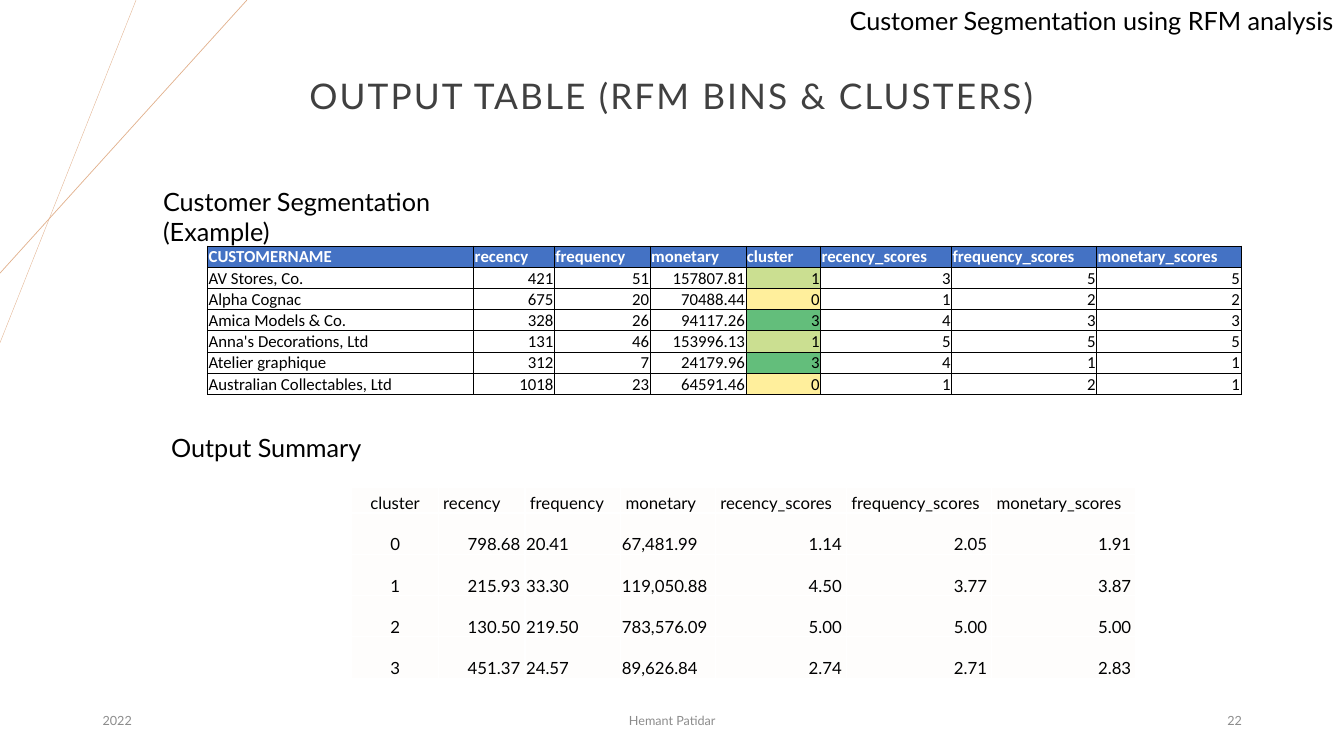
from pptx import Presentation
from pptx.dml.color import RGBColor as RGB
from pptx.enum.shapes import MSO_CONNECTOR as Conn
from pptx.enum.text import MSO_ANCHOR as Anchor, PP_ALIGN as Align
from pptx.oxml.ns import qn
from pptx.util import Pt
from lxml.etree import SubElement as Sub

HUES = {
    "black": "000000", "white": "FFFFFF", "title": "404040", "foot": "8C8C8C",
    "line": "E2B18D", "head": "4472C4", "pale": "FEFDFC",
    "low": "FFEF9C", "mid": "CBDF91", "high": "63BE7B",
}
LEFT, MID, RIGHT = Align.LEFT, Align.CENTER, Align.RIGHT


class Page:
    def __init__(self, slide, face="Lato"):
        self.shapes = slide.shapes
        self.face = face

    def hue(self, name):
        return RGB.from_string(HUES[name])

    def style(self, para, size, hue, align=LEFT, face=None, bold=False):
        para.alignment = align
        font = para.font
        font.name, font.size, font.bold = face or self.face, Pt(size), bold
        font.color.rgb = self.hue(hue)

    def line(self, x1, y1, x2, y2, width):
        line = self.shapes.add_connector(Conn.STRAIGHT, Pt(x1), Pt(y1), Pt(x2), Pt(y2))
        line.line.color.rgb = self.hue("line")
        line.line.width = Pt(width)
        Sub(line._element.spPr, qn("a:effectLst"))

    def text(self, words, x, y, w, size=18, hue="black", align=LEFT, anchor=Anchor.TOP):
        box = self.shapes.add_textbox(Pt(x), Pt(y), Pt(w), Pt(28.8))
        frame = box.text_frame
        frame.word_wrap = True
        frame.vertical_anchor = anchor
        para = frame.paragraphs[0]
        para.text = words
        self.style(para, size, hue, align)
        return para

    def edge(self, cell, hue, width):
        props = cell._tc.get_or_add_tcPr()
        for side in ("lnL", "lnR", "lnT", "lnB"):
            line = Sub(props, qn("a:" + side), w=str(Pt(width)))
            Sub(Sub(line, qn("a:solidFill")), qn("a:srgbClr"), val=HUES[hue])

    def table(self, rows, x, y, cols, highs, edge, look):
        """look(row, col, value) gives fill, side margin and text style."""
        frame = self.shapes.add_table(len(rows), len(cols), Pt(x), Pt(y),
                                      Pt(sum(cols)), Pt(sum(highs)))
        table = frame.table
        table.first_row = table.horz_banding = False
        for col, width in zip(table.columns, cols):
            col.width = Pt(width)
        for row, high in zip(table.rows, highs):
            row.height = Pt(high)
        for r, row in enumerate(rows):
            for c, value in enumerate(row):
                cell = table.cell(r, c)
                fill, pad, font = look(r, c, value)
                cell.text = value
                cell.vertical_anchor = Anchor.BOTTOM
                cell.margin_left = cell.margin_right = Pt(pad)
                cell.margin_top, cell.margin_bottom = Pt(0.72), 0
                self.edge(cell, *edge)
                if fill:
                    cell.fill.solid()
                    cell.fill.fore_color.rgb = self.hue(fill)
                else:
                    cell.fill.background()
                self.style(cell.text_frame.paragraphs[0], 12, **font)


deck = Presentation()
deck.slide_width, deck.slide_height = Pt(960), Pt(540)
page = Page(deck.slides.add_slide(deck.slide_layouts[6]))

# Corner lines
page.line(97.2, 0, 0, 244.8, 0.25)
page.line(176.4, 0, 0, 195.1, 0.5)

# Title and footer
title = page.text("OUTPUT TABLE (RFM BINS & CLUSTERS)", 148.3, 55.4, 663.1, 25.2,
                  "title", MID, Anchor.MIDDLE)
title.line_spacing = 0.9
title.font._element.set("spc", "150")
for words, x, w, align in (("2022", 66.2, 216, LEFT),
                           ("Hemant Patidar", 318.2, 324, MID),
                           ("22", 678.2, 216, RIGHT)):
    page.text(words, x, 500.4, w, 9, "foot", align, Anchor.MIDDLE)

# Headings
page.text("Customer Segmentation using RFM analysis", 599.8, 0, 361)
page.text("Customer Segmentation (Example)", 109.4, 129.6, 280)
page.text("Output Summary", 115.2, 305.3, 284.4)

# Customer table
SCORES = ["recency_scores", "frequency_scores", "monetary_scores"]
WIDE = [93.6, 103.7, 103]
buyers = [
    ["CUSTOMERNAME", "recency", "frequency", "monetary", "cluster"] + SCORES,
    ["AV Stores, Co.", "421", "51", "157807.81", "1", "3", "5", "5"],
    ["Alpha Cognac", "675", "20", "70488.44", "0", "1", "2", "2"],
    ["Amica Models & Co.", "328", "26", "94117.26", "3", "4", "3", "3"],
    ["Anna's Decorations, Ltd", "131", "46", "153996.13", "1", "5", "5", "5"],
    ["Atelier graphique", "312", "7", "24179.96", "3", "4", "1", "1"],
    ["Australian Collectables, Ltd", "1018", "23", "64591.46", "0", "1", "2", "1"],
]
GRADES = {"0": "low", "1": "mid", "3": "high"}


def buyer(r, c, value):
    if r == 0:
        return "head", 0.72, dict(hue="white", face="Calibri", bold=True)
    fill = GRADES[value] if c == 4 else None
    return fill, 0.72, dict(hue="black", face="Calibri", align=RIGHT if c else LEFT)


page.table(buyers, 148.3, 175.7, [190.1, 57.6, 68.4, 68.4, 53.3] + WIDE,
           [15.1] * len(buyers), ("black", 0.5), buyer)

# Cluster summary table
means = [
    ["cluster", "recency", "frequency", "monetary"] + SCORES,
    ["0", "798.68", "20.41", "67,481.99", "1.14", "2.05", "1.91"],
    ["1", "215.93", "33.30", "119,050.88", "4.50", "3.77", "3.87"],
    ["2", "130.50", "219.50", "783,576.09", "5.00", "5.00", "5.00"],
    ["3", "451.37", "24.57", "89,626.84", "2.74", "2.71", "2.83"],
]
ALIGNS = [MID, RIGHT, LEFT, LEFT, RIGHT, RIGHT, RIGHT]


def mean(r, c, value):
    align = ALIGNS[c] if r or c == 0 else LEFT
    pad = 3.4 if r == 0 or align == RIGHT else 0.72
    return "pale", pad, dict(hue="black", align=align)


page.table(means, 251.3, 347.8, [61.9, 61.9, 68.4, 67.7] + WIDE,
           [18.7] + [29.5] * 4, ("white", 1), mean)

deck.save("out.pptx")
